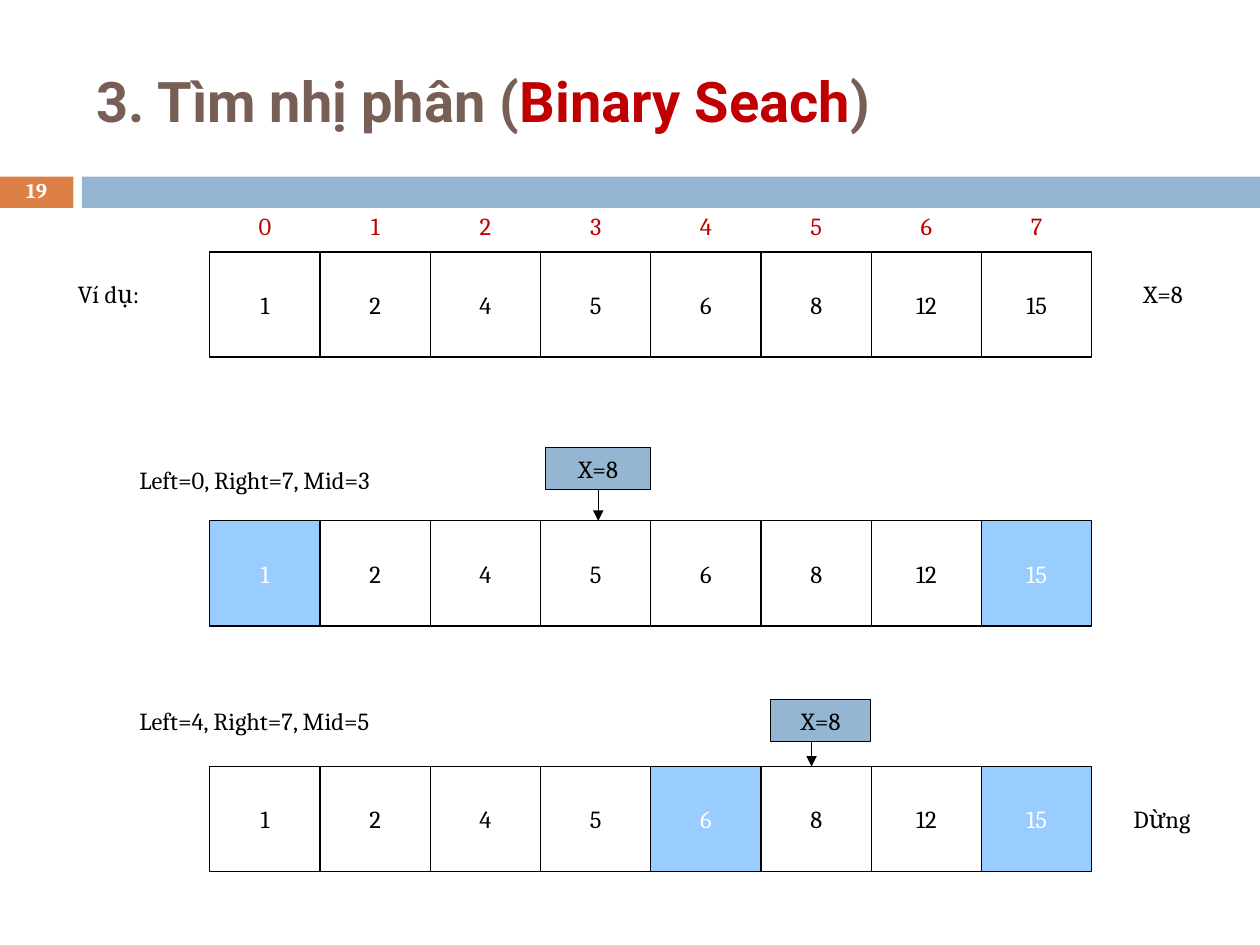
from lxml import etree
from pptx import Presentation
from pptx.dml.color import RGBColor
from pptx.enum import shapes, text
from pptx.oxml import ns
from pptx.util import Cm, Pt

BLACK, WHITE, RED, BROWN = "000000", "FFFFFF", "C00000", "775F55"
BLUE, SKY, ORANGE = "94B6D2", "99CCFF", "DD8047"
LEFT, CELL, HIGH = 4.23, 17.78 / 8, 2.12
VALUES = [1, 2, 4, 5, 6, 8, 12, 15]


def color(code):
    return RGBColor.from_string(code)


class Board:
    base = {"name": "Cambria", "size": Pt(14), "bold": False}

    def __init__(self, slide):
        self.slide = slide

    def letter(self, shape, runs, align="CENTER", anchor="MIDDLE", wrap=False,
               fit=False, space=None, **font):
        """Fill a shape with one paragraph of (text, colour) runs."""
        frame = shape.text_frame
        sizing = text.MSO_AUTO_SIZE
        form = {"word_wrap": wrap,
                "vertical_anchor": getattr(text.MSO_ANCHOR, anchor),
                "auto_size": sizing.SHAPE_TO_FIT_TEXT if fit else sizing.NONE}
        for key, value in form.items():
            setattr(frame, key, value)
        para = frame.paragraphs[0]
        para.alignment = getattr(text.PP_ALIGN, align)
        para.line_spacing = space
        for words, code in runs:
            run = para.add_run()
            run.text = words
            for key, value in {**self.base, **font}.items():
                setattr(run.font, key, value)
            run.font.color.rgb = color(code)

    def label(self, x, y, w, h, *runs, **form):
        box = self.slide.shapes.add_textbox(Cm(x), Cm(y), Cm(w), Cm(h))
        self.letter(box, runs, **form)

    def note(self, x, y, w, words):
        self.label(x, y, w, 0.86, (words, BLACK), align="LEFT", anchor="TOP", fit=True)

    def rect(self, x, y, w, h, fill=None, line=None):
        box = self.slide.shapes.add_shape(
            shapes.MSO_SHAPE.RECTANGLE, Cm(x), Cm(y), Cm(w), Cm(h))
        box.shadow.inherit = False
        if fill:
            box.fill.solid()
            box.fill.fore_color.rgb = color(fill)
        else:
            box.fill.background()
        if line:
            box.line.color.rgb = color(line)
            box.line.width = Pt(0.75)
        else:
            box.line.fill.background()
        return box

    def row(self, y, marked=()):
        """Draw the array, with the marked positions highlighted."""
        for i, value in enumerate(VALUES):
            fill, ink = (SKY, WHITE) if i in marked else (None, BLACK)
            box = self.rect(LEFT + i * CELL, y, CELL, HIGH, fill, BLACK)
            self.letter(box, [(str(value), ink)])

    def key(self, x, y, w):
        box = self.rect(x, y, w, 0.85, BLUE, BLACK)
        self.letter(box, [("X=8", BLACK)])
        return box

    def arrow(self, x, top, end, start=None):
        link = self.slide.shapes.add_connector(
            shapes.MSO_CONNECTOR.STRAIGHT, Cm(x), Cm(top), Cm(x), Cm(end))
        if start is not None:
            link.begin_connect(start, 2)
        link.line.color.rgb = color(BLACK)
        link.line.width = Pt(0.75)
        props = link._element.spPr
        etree.SubElement(props.find(ns.qn("a:ln")), ns.qn("a:tailEnd"), type="triangle")
        etree.SubElement(props, ns.qn("a:effectLst"))


def main():
    deck = Presentation()
    deck.slide_width, deck.slide_height = Cm(25.4), Cm(19.05)
    board = Board(deck.slides.add_slide(deck.slide_layouts[6]))

    board.rect(0, 3.56, 1.48, 0.63, ORANGE)
    board.rect(1.65, 3.56, 23.75, 0.63, BLUE)
    board.label(1.7, 0.64, 22.65, 2.74, ("3. Tìm nhị phân (", BROWN),
                ("Binary Seach", RED), (")", BROWN), align="LEFT",
                wrap=True, name="Roboto", size=Pt(32), bold=True)
    board.label(0, 3.53, 1.48, 0.69, ("19", WHITE), wrap=True, space=0.8,
                size=Pt(12), bold=True)

    for i in range(len(VALUES)):
        board.label(LEFT + i * CELL, 4.24, CELL, 0.64, (str(i), RED))
    board.row(5.08)
    board.note(1.32, 5.51, 1.8, "Ví dụ:")
    board.note(22.8, 5.51, 1.38, "X=8")

    board.row(10.5, (0, 7))
    board.note(2.56, 9.25, 5.7, "Left=0, Right=7, Mid=3")
    box = board.key(11, 9.02, 2.12)
    board.arrow(12.06, 9.87, 10.5, box)

    board.row(15.45, (4, 7))
    board.note(2.56, 14.1, 5.7, "Left=4, Right=7, Mid=5")
    board.key(15.54, 14.1, 2.01)
    board.arrow(16.36, 14.95, 15.45)
    board.note(22.6, 16.08, 1.8, "Dừng")

    deck.save("out.pptx")


if __name__ == "__main__":
    main()
